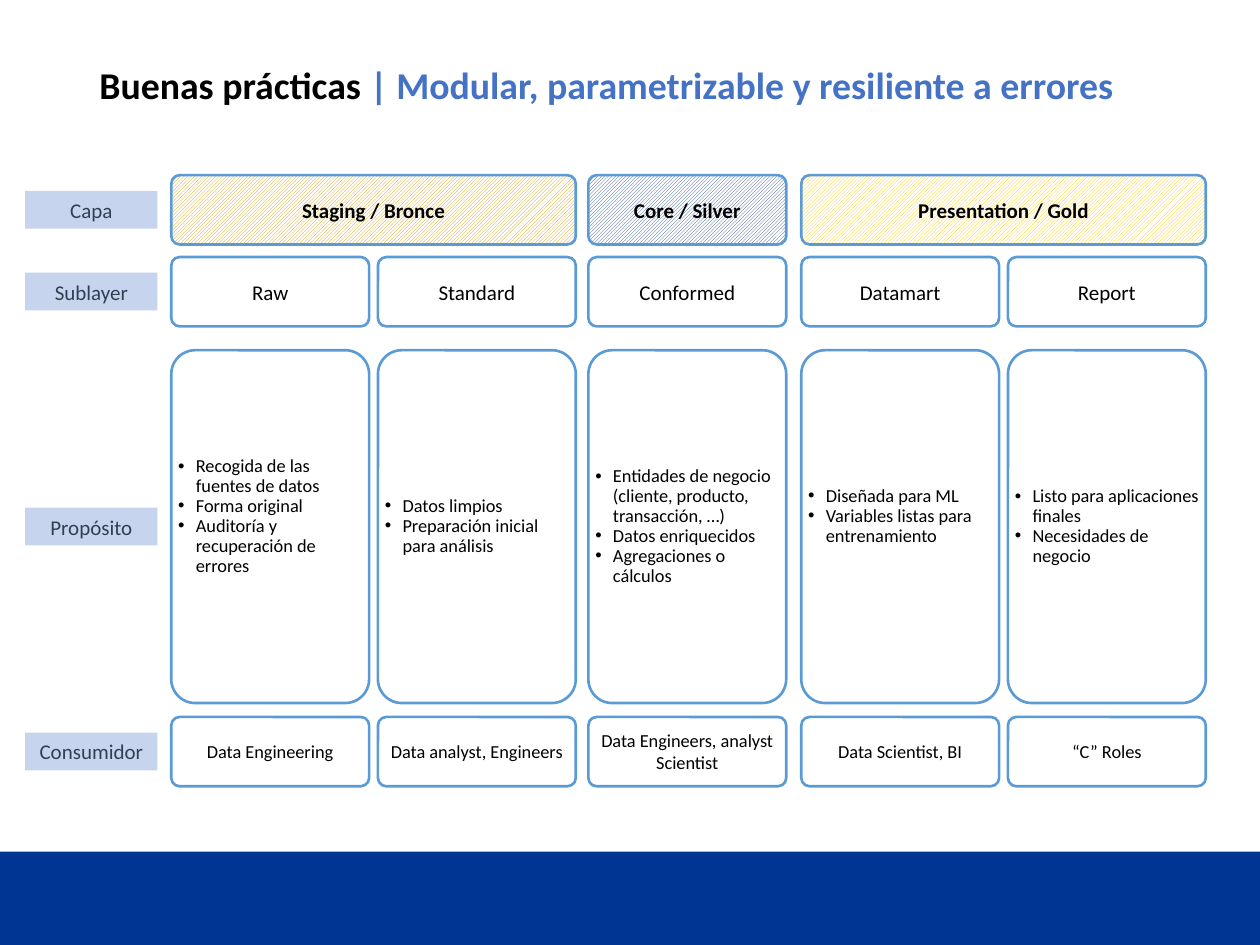
from lxml import etree
from pptx import Presentation
from pptx.dml.color import RGBColor
from pptx.enum.dml import MSO_PATTERN
from pptx.enum.shapes import MSO_SHAPE
from pptx.enum.text import MSO_ANCHOR, PP_ALIGN
from pptx.oxml.ns import qn
from pptx.util import Inches, Pt

RECT, ROUND = MSO_SHAPE.RECTANGLE, MSO_SHAPE.ROUNDED_RECTANGLE
LEFT, CENTER = PP_ALIGN.LEFT, PP_ALIGN.CENTER
MIDDLE = MSO_ANCHOR.MIDDLE
HATCH = MSO_PATTERN.DARK_UPWARD_DIAGONAL

COLORS = {
    "black": "000000", "white": "FFFFFF", "blue": "4472C4", "slate": "333F50",
    "edge": "5B9BD5", "navy": "003594",
    "bronze": "CC9900", "silver": "294982", "gold": "FFCC00",
}

# The grid has 100 columns and 75 rows on the slide.
COLS, ROWS = 100, 75
CARD, STEP = 15.7, 16.4
BANDS = {  # name: (top, height)
    "Capa": (13.9, 5.5),
    "Sublayer": (20.4, 5.5),
    "Propósito": (27.8, 28),
    "Consumidor": (56.9, 5.5),
}

# Layer: name, colour, left column, sublayers.
# Sublayer: name, goals, lift of the goals as bottom inset in inches, users.
LAYERS = [
    ("Staging / Bronce", "bronze", 13.6, [
        ("Raw", ["Recogida de las fuentes de datos", "Forma original",
                 "Auditoría y recuperación de errores"], 0.17,
         "Data Engineering"),
        ("Standard", ["Datos limpios", "Preparación inicial para análisis"],
         0.01, "Data analyst, Engineers"),
    ]),
    ("Core / Silver", "silver", 46.7, [
        ("Conformed", ["Entidades de negocio (cliente, producto, transacción, …)",
                       "Datos enriquecidos", "Agregaciones o cálculos"],
         0.01, "Data Engineers, analyst Scientist"),
    ]),
    ("Presentation / Gold", "gold", 63.6, [
        ("Datamart", ["Diseñada para ML", "Variables listas para entrenamiento"],
         0.17, "Data Scientist, BI"),
        ("Report", ["Listo para aplicaciones finales", "Necesidades de negocio"],
         0.01, "“C” Roles"),
    ]),
]


class Deck:
    font = "Calibri"

    def __init__(self):
        self.prs = Presentation()
        self.prs.slide_width, self.prs.slide_height = Inches(10), Inches(7.5)
        self.slide = self.prs.slides.add_slide(self.prs.slide_layouts[6])

    def color(self, name):
        return RGBColor.from_string(COLORS[name])

    def place(self, x, y, w, h):
        """Turn grid cells into slide lengths."""
        dx, dy = self.prs.slide_width / COLS, self.prs.slide_height / ROWS
        return [round(n) for n in (x * dx, y * dy, w * dx, h * dy)]

    def frame(self, shape, inset):
        """Set insets (left, top, right, bottom) in inches."""
        text = shape.text_frame
        text.word_wrap = True
        text.vertical_anchor = MIDDLE
        (text.margin_left, text.margin_top,
         text.margin_right, text.margin_bottom) = map(Inches, inset)
        return text

    def add_runs(self, para, runs, size, align=CENTER, bold=False):
        para.alignment = align
        for words, color in runs:
            run = para.add_run()
            run.text = words
            run.font.name, run.font.size = self.font, Pt(size)
            run.font.bold = bold
            run.font.color.rgb = self.color(color)

    def shape(self, kind, cell, fill=None):
        shape = self.slide.shapes.add_shape(kind, *self.place(*cell))
        shape.shadow.inherit = False
        shape.line.fill.background()
        if fill:
            shape.fill.solid()
            shape.fill.fore_color.rgb = self.color(fill)
        else:
            shape.fill.background()
        return shape

    def title(self, cell, runs):
        box = self.slide.shapes.add_textbox(*self.place(*cell))
        para = self.frame(box, (0.1, 0.05, 0.1, 0.05)).paragraphs[0]
        para.line_spacing = 0.9
        self.add_runs(para, runs, 21.6, LEFT, True)

    def label(self, cell, words):
        shape = self.shape(RECT, cell, "blue")
        tint = shape.element.spPr.find(qn("a:solidFill"))[0]
        etree.SubElement(tint, qn("a:alpha"), val="30000")
        text = self.frame(shape, (0.07, 0.04, 0.07, 0.04))
        self.add_runs(text.paragraphs[0], [(words, "slate")], 12)

    def outline(self, cell, fill=None):
        shape = self.shape(ROUND, cell, fill)
        shape.adjustments[0] = 0.12
        shape.line.color.rgb = self.color("edge")
        shape.line.width = Pt(1.5)
        return shape

    def card(self, cell, words, size, hatch=None):
        shape = self.outline(cell)
        if hatch:
            shape.fill.patterned()
            shape.fill.pattern = HATCH
            shape.fill.fore_color.rgb = self.color(hatch)
            shape.fill.back_color.rgb = self.color("white")
        text = self.frame(shape, (0, 0.03, 0, 0.03))
        self.add_runs(text.paragraphs[0], [(words, "black")], size,
                      bold=bool(hatch))

    def goals(self, cell, items, lift):
        text = self.frame(self.outline(cell, "white"), (0, 0.01, 0, lift))
        for i, item in enumerate(items):
            para = text.add_paragraph() if i else text.paragraphs[0]
            self.add_runs(para, [(item, "black")], 10.5, LEFT)
            para.line_spacing = 0.9
            props = para._p.get_or_add_pPr()
            props.set("marL", str(Inches(0.14)))
            props.set("indent", str(-Inches(0.14)))
            etree.SubElement(props, qn("a:buFont"), typeface="Arial")
            etree.SubElement(props, qn("a:buChar"), char="•")


def main():
    deck = Deck()
    deck.shape(RECT, (0, 67.6, COLS, ROWS - 67.6), "navy")
    deck.title((6.9, 4, 86.2, 5.9), [
        ("Buenas prácticas ", "black"),
        ("| Modular, parametrizable y resiliente a errores", "blue"),
    ])
    for name, (top, high) in BANDS.items():
        deck.label((2, top + high / 2 - 1.5, 10.5, 3), name)

    head, sub, goal, user = BANDS.values()
    for name, hatch, left, parts in LAYERS:
        wide = CARD + STEP * (len(parts) - 1)
        deck.card((left, head[0], wide, head[1]), name, 12, hatch)
        for i, (part, items, lift, users) in enumerate(parts):
            x = left + i * STEP
            deck.card((x, sub[0], CARD, sub[1]), part, 12)
            deck.goals((x, goal[0], CARD, goal[1]), items, lift)
            deck.card((x, user[0], CARD, user[1]), users, 10.5)
    deck.prs.save("out.pptx")


if __name__ == "__main__":
    main()
